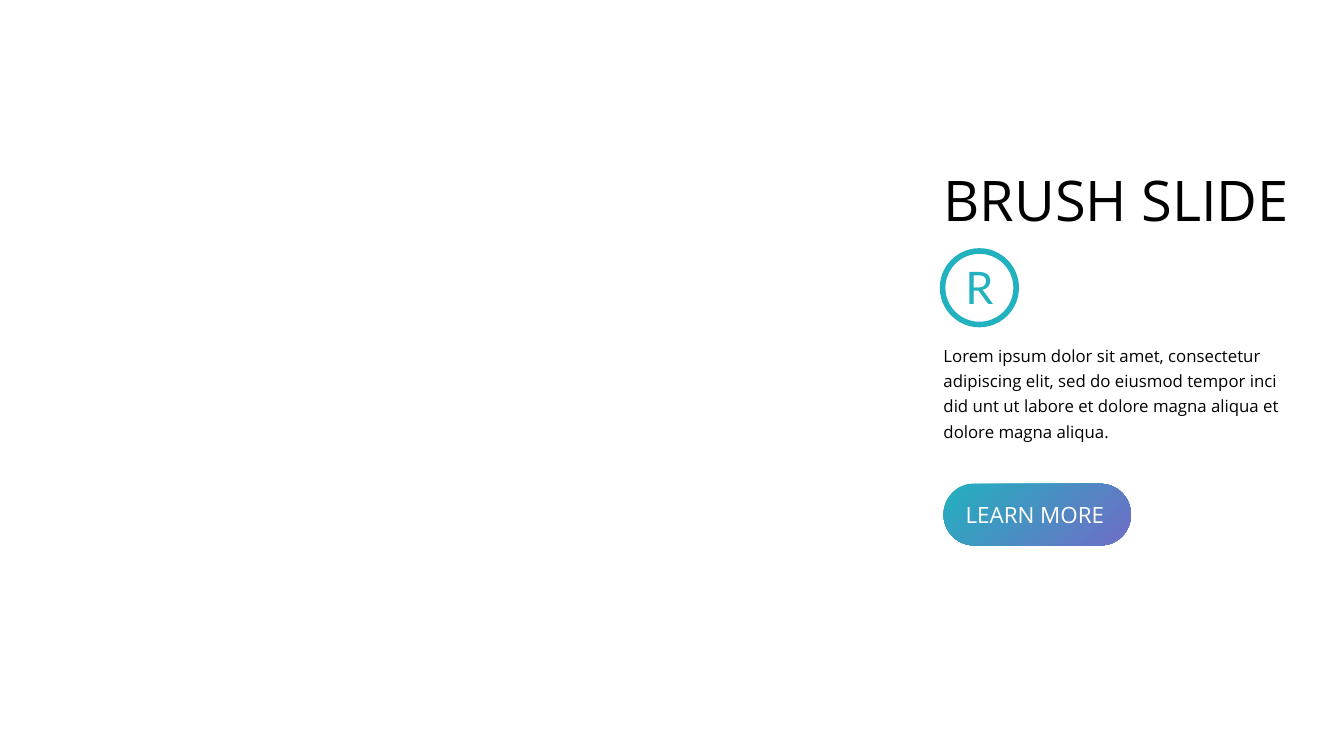
import pptx
import pptx.dml.color
import pptx.enum.shapes
import pptx.enum.text
import pptx.util

RGBColor = pptx.dml.color.RGBColor
Shape = pptx.enum.shapes.MSO_SHAPE
Align = pptx.enum.text.PP_ALIGN
AutoSize = pptx.enum.text.MSO_AUTO_SIZE

BLACK = RGBColor(0x00, 0x00, 0x00)
WHITE = RGBColor(0xFF, 0xFF, 0xFF)
TEAL = RGBColor(0x22, 0xB1, 0xBF)
VIOLET = RGBColor(0x6B, 0x71, 0xC5)
LEFT = 70.2  # shared left edge, percent of the slide's width


class SlideBuilder:
    """Places elements by percentages of the slide's width and height."""

    font = "Open Sans"

    def __init__(self, deck):
        self.deck = deck
        self.page = deck.slides.add_slide(deck.slide_layouts[6])
        fill = self.page.background.fill
        fill.solid()
        fill.fore_color.rgb = WHITE

    def place(self, left, top, width, height):
        across, down = self.deck.slide_width, self.deck.slide_height
        return [int(share * size / 100) for share, size in
                zip((left, top, width, height), (across, down, across, down))]

    def group(self):
        return self.page.shapes.add_group_shape()

    def text(self, area, words, size, color, parent=None, font=None, wrap=False, **layout):
        box = (parent or self.page).shapes.add_textbox(*self.place(*area))
        frame = box.text_frame
        settings = dict(margin_left=0, margin_top=0, margin_right=0, margin_bottom=0,
                        word_wrap=wrap, auto_size=AutoSize.SHAPE_TO_FIT_TEXT)
        for name, value in settings.items():
            setattr(frame, name, value)
        para = frame.paragraphs[0]
        for name, value in layout.items():
            setattr(para, name, value)
        span = para.add_run()
        span.text = words
        for name, value in dict(name=font or self.font, size=pptx.util.Pt(size)).items():
            setattr(span.font, name, value)
        span.font.color.rgb = color

    def pill(self, area, stops, angle, parent):
        shape = parent.shapes.add_shape(Shape.FLOWCHART_TERMINATOR, *self.place(*area))
        shape.shadow.inherit = False
        shape.line.fill.background()
        shape.fill.gradient()
        shape.fill.gradient_angle = angle
        for stop, (position, color) in zip(shape.fill.gradient_stops, stops):
            stop.position = position
            stop.color.rgb = color

    def ring(self, area, color, weight, parent):
        shape = parent.shapes.add_shape(Shape.OVAL, *self.place(*area))
        shape.shadow.inherit = False
        shape.fill.background()
        shape.line.color.rgb = color
        shape.line.width = pptx.util.Pt(weight)


def main():
    deck = pptx.Presentation()
    deck.slide_width = pptx.util.Inches(13.33)
    deck.slide_height = pptx.util.Inches(7.5)
    slide = SlideBuilder(deck)

    # Title and body
    slide.text((LEFT, 21.87, 27, 8.93), "BRUSH SLIDE", 40, BLACK)
    slide.text((LEFT, 45.07, 25.13, 13.47),
               "Lorem ipsum dolor sit amet, consectetur adipiscing elit, sed do eiusmod "
               "tempor inci did unt ut labore et dolore magna aliqua et dolore magna aliqua.",
               12, BLACK, wrap=True, line_spacing=1.25)

    # Button
    button = slide.group()
    slide.pill((LEFT, 64, 13.95, 8.13), [(0, TEAL), (0.93, VIOLET)], 315, button)
    slide.text((71.85, 66.27, 10.65, 3.6), "LEARN MORE", 16, WHITE, button)

    # Ringed letter
    badge = slide.group()
    slide.ring((70.13, 33.2, 5.48, 9.73), TEAL, 4, badge)
    slide.text((71.33, 34.4, 3.08, 7.2), "R", 32, TEAL, badge, font="Lato",
               alignment=Align.CENTER)

    deck.save("out.pptx")


if __name__ == "__main__":
    main()
